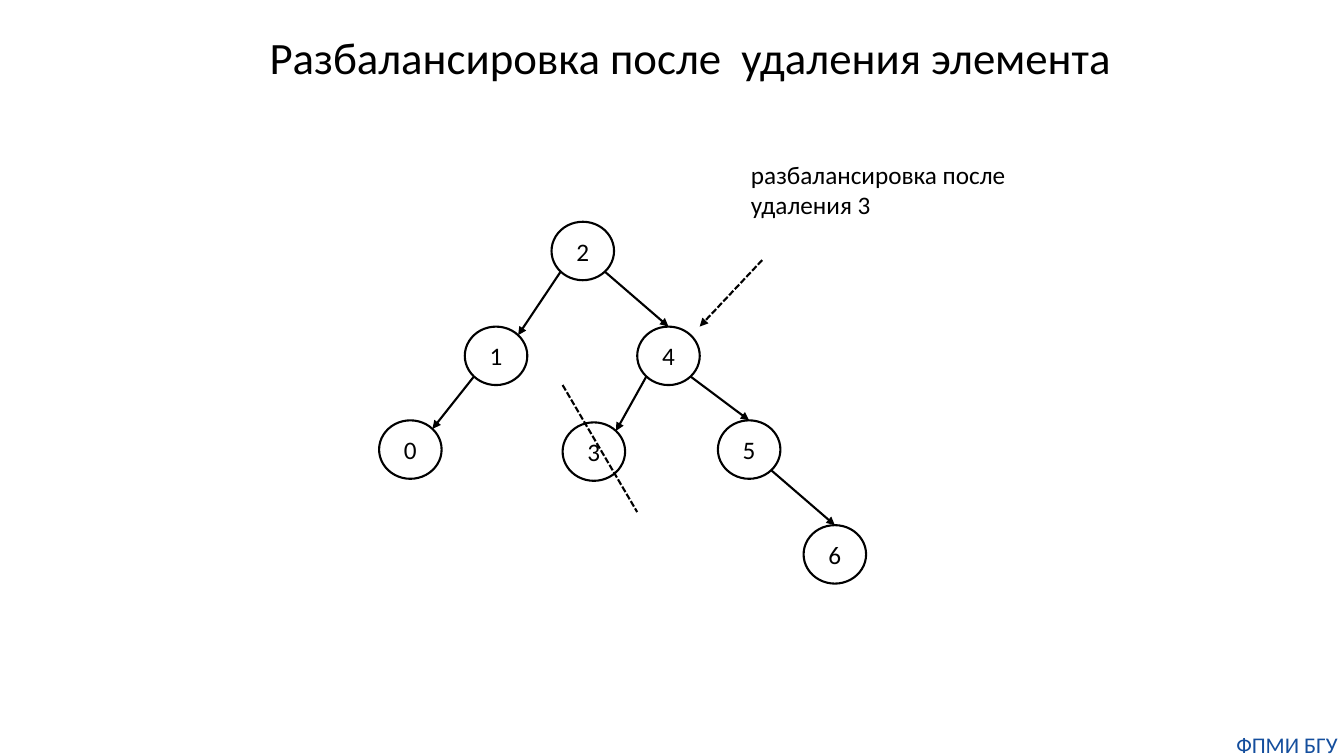
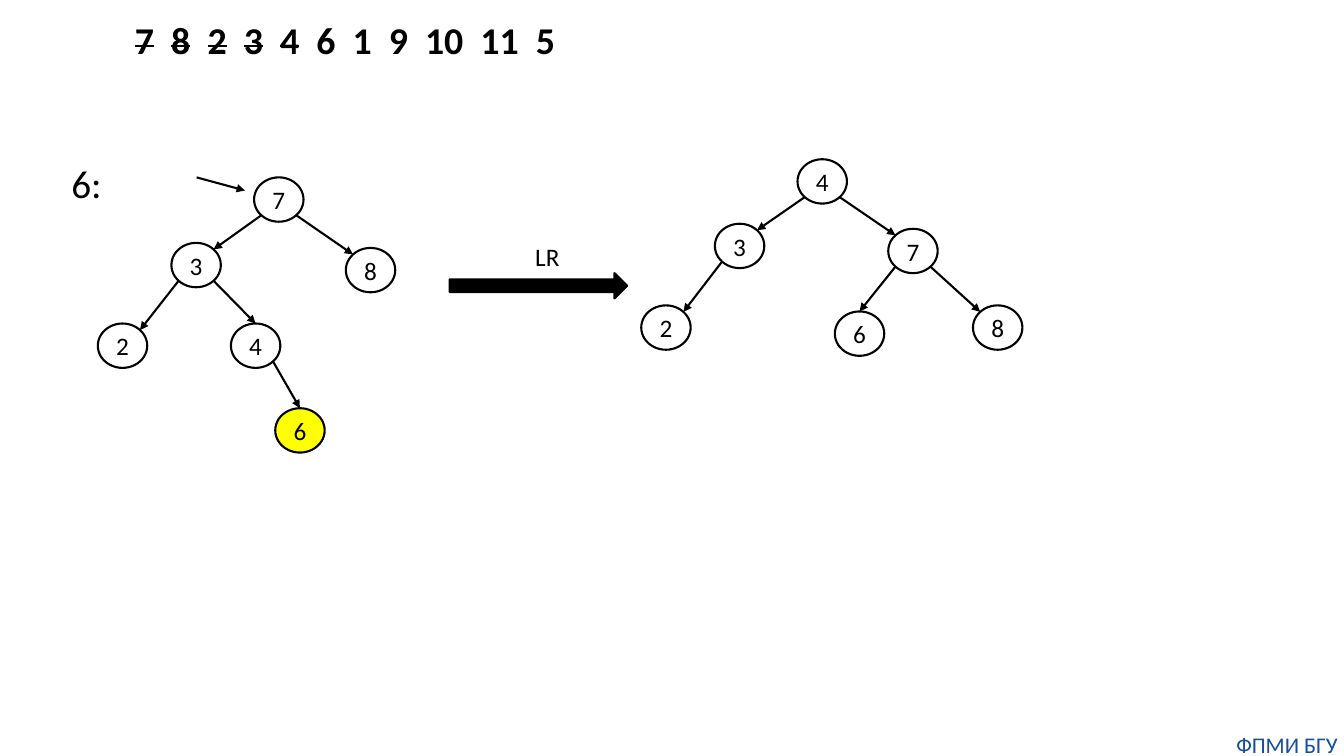
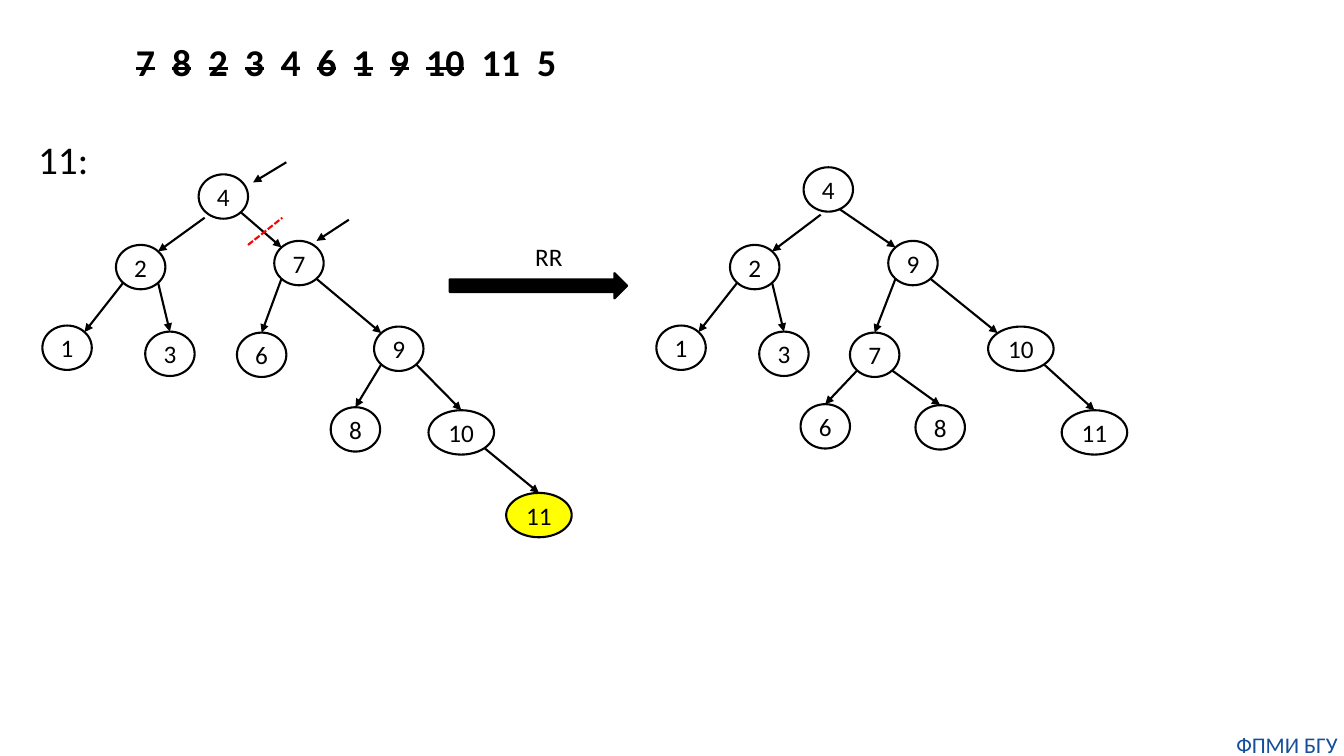
import math
import pptx
import pptx.dml.color
import pptx.enum.dml
import pptx.enum.shapes
import pptx.enum.text
import pptx.oxml
import pptx.oxml.ns
import pptx.util

Inches = pptx.util.Inches
Pt = pptx.util.Pt
ALIGN = pptx.enum.text.PP_ALIGN
ANCHOR = pptx.enum.text.MSO_ANCHOR
SHAPE = pptx.enum.shapes.MSO_SHAPE

FONT = "Calibri"
BLACK, BLUE, RED, YELLOW = "000000", "144E9D", "FF0000", "FFFF00"
NO_MARGINS = dict.fromkeys(("margin_left", "margin_top", "margin_right", "margin_bottom"), 0)

FOOTER = ("ФПМИ БГУ", (12.2, 7.25, 1.13, 0.27))
ROTATION_ARROW = (4.46, 2.71, 1.76, 0.25)
KEYS = ["7", "8", "2", "3", "4", "6", "1", "9", "10", "11", "5"]

SLIDES = [
    {
        "title": ("Разбалансировка после  удаления элемента", (1.1, 0.17, 11.5, 0.86)),
        "note": ("разбалансировка после удаления 3", (7.35, 1.53, 2.95, 0.71)),
        "node_size": (0.62, 0.58),
        "trees": [{
            "nodes": {"2": (5.47, 2.2), "4": (6.32, 3.24), "1": (4.61, 3.24), "5": (7.12, 4.17),
                      "6": (7.97, 5.21), "3": (5.58, 4.19), "0": (3.76, 4.17)},
            "edges": ["2-1", "2-4", "4-3", "4-5", "1-0", "5-6"],
            "top_ends": ["4", "5", "6"],
        }],
        "dashed_pointers": [((7.56, 2.58), (6.94, 3.24))],
        "strikes": [((5.58, 3.82), (6.32, 5.08), BLACK)],
    },
    {
        "done": ["7", "8", "2", "3", "4"],
        "keys_box": (1.24, 0.05, 4.99, 0.73),
        "step": ("6:", (0.61, 1.58, 1.5, 0.55)),
        "rotation": ("LR", (5.21, 2.34, 0.45, 0.4)),
        "node_size": (0.49, 0.44),
        "trees": [{
            "nodes": {"7": (2.52, 1.76), "3": (1.7, 2.41), "8": (3.43, 2.46), "2": (0.97, 3.21),
                      "4": (2.29, 3.21), "6": (2.73, 4.05)},
            "edges": ["7-3", "7-8", "3-2", "3-4", "4-6"],
            "top_ends": ["4", "6"],
            "inserted": "6",
        }, {
            "nodes": {"4": (7.91, 1.58), "3": (7.09, 2.22), "7": (8.81, 2.27), "2": (6.36, 3.03),
                      "6": (8.28, 3.09), "8": (9.65, 3.03)},
            "edges": ["4-3", "4-7", "3-2", "7-6", "7-8"],
            "top_ends": ["6"],
        }],
        "pointers": [((1.95, 1.76), (2.43, 1.89))],
    },
    {
        "done": ["7", "8", "2", "3", "4", "6", "1", "9", "10"],
        "keys_box": (1.25, 0.11, 4.41, 1.06),
        "step": ("11:", (0.28, 1.35, 1.5, 0.55)),
        "rotation": ("RR", (5.21, 2.34, 0.48, 0.4)),
        "node_size": (0.49, 0.44),
        "trees": [{
            "nodes": {"4": (1.97, 1.73), "2": (1.15, 2.43), "7": (2.72, 2.39), "1": (0.42, 3.23),
                      "3": (1.44, 3.29), "6": (2.35, 3.3), "9": (3.71, 3.24), "8": (3.28, 4.04),
                      "10": (4.25, 4.07), "11": (5.02, 4.89)},
            "edges": ["4-2", "4-7", "2-1", "2-3", "7-6", "7-9", "9-8", "9-10", "10-11"],
            "top_ends": ["3", "6", "8", "10", "11"],
            "starts": {"4-2": (2.03, 2.16)},
            "inserted": "11",
        }, {
            "nodes": {"4": (7.97, 1.66), "2": (7.24, 2.43), "9": (8.81, 2.39), "1": (6.51, 3.23),
                      "3": (7.53, 3.29), "7": (8.43, 3.3), "10": (9.8, 3.24), "6": (7.94, 4.01),
                      "8": (9.08, 4.02), "11": (10.53, 4.07)},
            "edges": ["4-2", "4-9", "2-1", "2-3", "9-7", "9-10", "7-6", "7-8", "10-11"],
            "top_ends": ["3", "7", "6", "8", "11"],
            "starts": {"4-2": (8.14, 2.13), "4-9": (8.32, 2.07)},
        }],
        "pointers": [((2.84, 1.61), (2.51, 1.81)), ((3.46, 2.18), (3.14, 2.39))],
        "strikes": [((2.46, 2.43), (2.8, 2.16), RED)],
    },
]


def apply(target, values):
    for name, value in values.items():
        setattr(target, name, value)


def rgb(color):
    return pptx.dml.color.RGBColor.from_string(color)


def write(shape, runs, size, color=BLACK, bold=False, paragraph=None, frame=None):
    text_frame = shape.text_frame
    apply(text_frame, {"word_wrap": True, **(frame or {})})
    line = text_frame.paragraphs[0]
    apply(line, paragraph or {})
    for text, struck in runs:
        run = line.add_run()
        run.text = text
        apply(run.font, {"name": FONT, "size": Pt(size), "bold": bold})
        run.font.color.rgb = rgb(color)
        if struck:
            run.font._element.set("strike", "sngStrike")


def add_text(slide, text, box, size, **style):
    runs = [(text, False)] if isinstance(text, str) else text
    write(slide.shapes.add_textbox(*map(Inches, box)), runs, size, **style)


def add_outlined(slide, kind, box, fill=None):
    shape = slide.shapes.add_shape(kind, *map(Inches, box))
    shape.shadow.inherit = False
    if fill:
        shape.fill.solid()
        shape.fill.fore_color.rgb = rgb(fill)
    else:
        shape.fill.background()
    shape.line.color.rgb = rgb(BLACK)
    shape.line.width = Pt(1.5)
    return shape


def add_line(slide, start, end, color=BLACK, dashed=False, arrow=True):
    line = slide.shapes.add_connector(
        pptx.enum.shapes.MSO_CONNECTOR.STRAIGHT, *map(Inches, start + end))
    line.line.color.rgb = rgb(color)
    line.line.width = Pt(1.5)
    if dashed:
        line.line.dash_style = pptx.enum.dml.MSO_LINE.SQUARE_DOT
    if arrow:
        pptx.oxml.ns.qn("a:tailEnd")
        tail = pptx.oxml.parse_xml(
            '<a:tailEnd xmlns:a="http://schemas.openxmlformats.org/drawingml/2006/main" type="triangle"/>')
        line.line._get_or_add_ln().append(tail)
    properties = line._element.spPr
    properties.append(properties.makeelement(pptx.oxml.ns.qn("a:effectLst"), {}))


def rim(box, across, down):
    left, top, width, height = box
    reach = math.sqrt(0.5) if across else 1
    return (left + width / 2 * (1 + across * reach), top + height / 2 * (1 + down * reach))


def add_tree(slide, tree, node_size):
    width, height = node_size
    boxes = {key: (*corner, 0.65 if len(key) > 1 else width, height)
             for key, corner in tree["nodes"].items()}
    for key, box in boxes.items():
        node = add_outlined(slide, SHAPE.OVAL, box, YELLOW if key == tree.get("inserted") else None)
        write(node, [(key, False)], 18, paragraph={"alignment": ALIGN.CENTER},
              frame={"vertical_anchor": ANCHOR.MIDDLE, **NO_MARGINS})
    for edge in tree["edges"]:
        parent, child = edge.split("-")
        side = 1 if boxes[child][0] > boxes[parent][0] else -1
        start = tree.get("starts", {}).get(edge) or rim(boxes[parent], side, 1)
        add_line(slide, start, rim(boxes[child], 0 if child in tree["top_ends"] else -side, -1))


deck = pptx.Presentation()
apply(deck, {"slide_width": Inches(13.33), "slide_height": Inches(7.5)})
heading = {"frame": {"vertical_anchor": ANCHOR.MIDDLE}}

for content in SLIDES:
    slide = deck.slides.add_slide(deck.slide_layouts[6])
    if "title" in content:
        add_text(slide, *content["title"], 32, **heading,
                 paragraph={"alignment": ALIGN.CENTER, "line_spacing": 0.9})
        add_text(slide, *content["note"], 18)
    else:
        runs = [(KEYS[0], KEYS[0] in content["done"])]
        for key in KEYS[1:]:
            runs += [("  ", False), (key, key in content["done"])]
        add_text(slide, runs, content["keys_box"], 27, bold=True, **heading,
                 paragraph={"line_spacing": 0.9})
        add_text(slide, *content["step"], 28, paragraph={"line_spacing": 0.9})
        add_outlined(slide, SHAPE.RIGHT_ARROW, ROTATION_ARROW, BLACK)
        add_text(slide, *content["rotation"], 18, frame={"word_wrap": False})
    for tree in content["trees"]:
        add_tree(slide, tree, content["node_size"])
    for start, end in content.get("pointers", []):
        add_line(slide, start, end)
    for start, end in content.get("dashed_pointers", []):
        add_line(slide, start, end, dashed=True)
    for start, end, color in content.get("strikes", []):
        add_line(slide, start, end, color, dashed=True, arrow=False)
    add_text(slide, *FOOTER, 16, color=BLUE, paragraph={"alignment": ALIGN.CENTER}, frame=NO_MARGINS)

deck.save("out.pptx")
